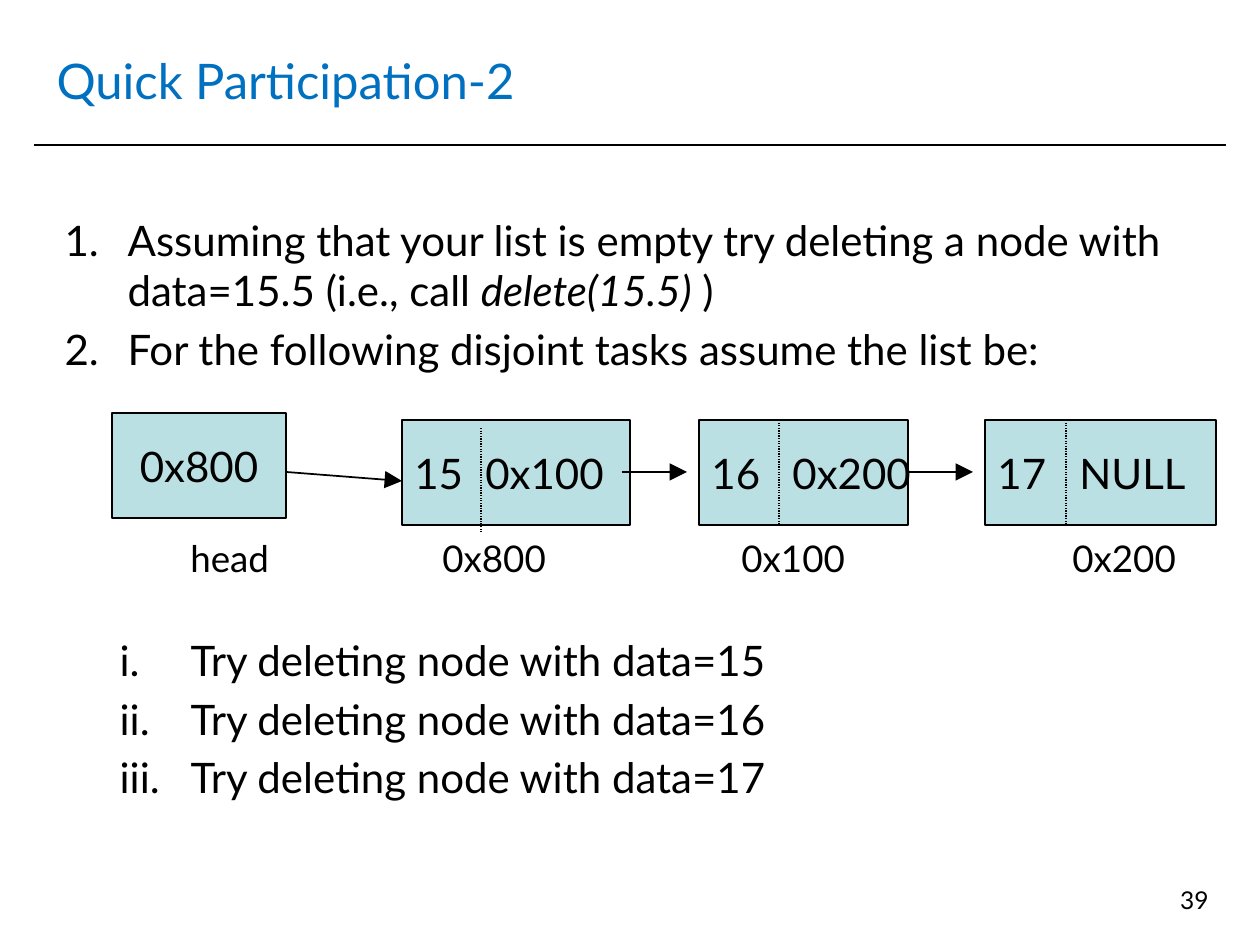
import dataclasses
import typing

import lxml.etree
import pptx
import pptx.dml.color
import pptx.enum.dml
import pptx.enum.shapes
import pptx.enum.text
import pptx.oxml.ns
import pptx.util

SCALE = 914400 / 126
FONT = "Lato"
BLACK, BLUE, TEAL = "000000", "0070C0", "BBE0E3"
ALIGN = pptx.enum.text.PP_ALIGN
ANCHOR = pptx.enum.text.MSO_ANCHOR
BOX_TOP, BOX_HIGH = 420, 105


@dataclasses.dataclass
class Node:
    left: int
    width: int
    data: str
    link: str
    tab: int
    split: int
    drop: int = 0


@dataclasses.dataclass
class Wire:
    start: tuple[int, int]
    end: tuple[int, int]
    width: float = 1
    dash: typing.Any = None
    arrow: bool = False


@dataclasses.dataclass
class Item:
    runs: list[tuple[str, bool]]
    before: float
    level: int
    margin: int
    indent: int
    number: str


@dataclasses.dataclass
class Label:
    text: str
    left: int
    top: int
    width: int
    height: int
    size: int
    align: typing.Any


def px(length: int) -> int:
    return round(length * SCALE)


def tint(code: str) -> pptx.dml.color.RGBColor:
    return pptx.dml.color.RGBColor.from_string(code)


def put(target: typing.Any, **values: typing.Any) -> None:
    for name, value in values.items():
        setattr(target, name, value)


def place(shape: typing.Any, left: int, top: int, width: int, height: int) -> None:
    put(shape, left=px(left), top=px(top), width=px(width), height=px(height))


def add(parent: typing.Any, tag: str, **values: str) -> typing.Any:
    child = lxml.etree.SubElement(parent, pptx.oxml.ns.qn(tag))
    for name, value in values.items():
        child.set(name, value)
    return child


def write(para: typing.Any, text: str, size: int, code: str = BLACK, slant: bool = False) -> None:
    run = para.add_run()
    run.text = text
    put(run.font, name=FONT, size=pptx.util.Pt(size), italic=slant)
    run.font.color.rgb = tint(code)


def draw_box(slide: typing.Any, left: int, top: int, width: int) -> typing.Any:
    box = slide.shapes.add_shape(
        pptx.enum.shapes.MSO_SHAPE.RECTANGLE, px(left), px(top), px(width), px(BOX_HIGH))
    box.shadow.inherit = False
    box.fill.solid()
    box.fill.fore_color.rgb = tint(TEAL)
    box.line.color.rgb = tint(BLACK)
    box.line.width = pptx.util.Pt(0.75)
    put(box.text_frame, word_wrap=False, vertical_anchor=ANCHOR.MIDDLE)
    return box.text_frame.paragraphs[0]


def draw_wire(slide: typing.Any, wire: Wire) -> None:
    line = slide.shapes.add_connector(
        pptx.enum.shapes.MSO_CONNECTOR.STRAIGHT, *map(px, wire.start + wire.end))
    line.line.color.rgb = tint(BLACK)
    put(line.line, width=pptx.util.Pt(wire.width), dash_style=wire.dash)
    if wire.arrow:
        add(line.line._get_or_add_ln(), "a:tailEnd", type="triangle", w="lg", len="lg")
    add(line._element.spPr, "a:effectLst")


def draw_node(slide: typing.Any, node: Node) -> None:
    para = draw_box(slide, node.left, BOX_TOP, node.width)
    para.alignment = ALIGN.LEFT
    tabs = add(para._p.get_or_add_pPr(), "a:tabLst")
    add(tabs, "a:tab", pos=str(px(node.tab)), algn="l")
    write(para, f"{node.data}\t{node.link}", 24)
    top = BOX_TOP + node.drop
    draw_wire(slide, Wire((node.split, top), (node.split, top + BOX_HIGH), 0.75,
                          pptx.enum.dml.MSO_LINE.ROUND_DOT))


def draw_label(slide: typing.Any, label: Label) -> None:
    box = slide.shapes.add_textbox(*map(px, (label.left, label.top, label.width, label.height)))
    box.text_frame.word_wrap = True
    para = box.text_frame.paragraphs[0]
    para.alignment = label.align
    write(para, label.text, label.size)


def write_item(para: typing.Any, item: Item) -> None:
    put(para, level=item.level, space_before=pptx.util.Pt(item.before))
    props = para._p.get_or_add_pPr()
    props.set("marL", str(px(item.margin)))
    props.set("indent", str(px(item.indent)))
    add(add(props, "a:buClr"), "a:srgbClr", val=BLACK)
    add(props, "a:buFont", typeface="+mj-lt")
    add(props, "a:buAutoNum", type=item.number)
    for text, slant in item.runs:
        write(para, text, 24, slant=slant)


def step(runs: list[tuple[str, bool]]) -> Item:
    return Item(runs, 4.8, 0, 71, -63, "arabicPeriod")


def task(data: int, before: float) -> Item:
    return Item([(f"Try deleting node with data={data}", False)], before,
                1, 134, -71, "romanLcPeriod")


def tag(text: str, left: int) -> Label:
    return Label(text, left, 530, 140, 50, 21, ALIGN.LEFT)


ITEMS = [
    step([("Assuming that your list is empty try deleting a node with data=15.5 (i.e., call ", False),
          ("delete(15.5)", True), (" )", False)]),
    step([("For the following disjoint tasks assume the list be:", False)]),
    task(15, 149), task(16, 4.8), task(17, 4.8),
]
NODES = [
    Node(402, 228, "15", "0x100", 71, 481, 8),
    Node(699, 209, "16", "0x200", 81, 779),
    Node(985, 231, "17", "NULL", 82, 1066),
]
WIRES = [
    Wire((34, 145), (1226, 145)),
    Wire((622, 472), (687, 472), arrow=True),
    Wire((908, 472), (973, 472), arrow=True),
    Wire((286, 472), (402, 481), arrow=True),
]
LABELS = [
    tag("head", 178), tag("0x800", 430), tag("0x100", 729), tag("0x200", 1060),
    Label("39", 927, 879, 294, 66, 14, ALIGN.RIGHT),
]


def main() -> None:
    deck = pptx.Presentation()
    put(deck, slide_width=px(1260), slide_height=px(945))
    slide = deck.slides.add_slide(deck.slide_layouts[1])

    title, body = slide.placeholders
    place(title, 44, 26, 1171, 107)
    put(title.text_frame, vertical_anchor=ANCHOR.MIDDLE)
    head = title.text_frame.paragraphs[0]
    head.alignment = ALIGN.LEFT
    write(head, "Quick Participation-2", 28, BLUE)

    place(body, 44, 155, 1171, 704)
    frame = body.text_frame
    put(frame, margin_top=px(59), auto_size=pptx.enum.text.MSO_AUTO_SIZE.NONE)
    for index, item in enumerate(ITEMS):
        write_item(frame.add_paragraph() if index else frame.paragraphs[0], item)

    for node in NODES:
        draw_node(slide, node)
    for wire in WIRES:
        draw_wire(slide, wire)
    for label in LABELS:
        draw_label(slide, label)
    para = draw_box(slide, 112, 413, 174)
    para.alignment = ALIGN.CENTER
    write(para, "0x800", 24)
    deck.save("out.pptx")


if __name__ == "__main__":
    main()
